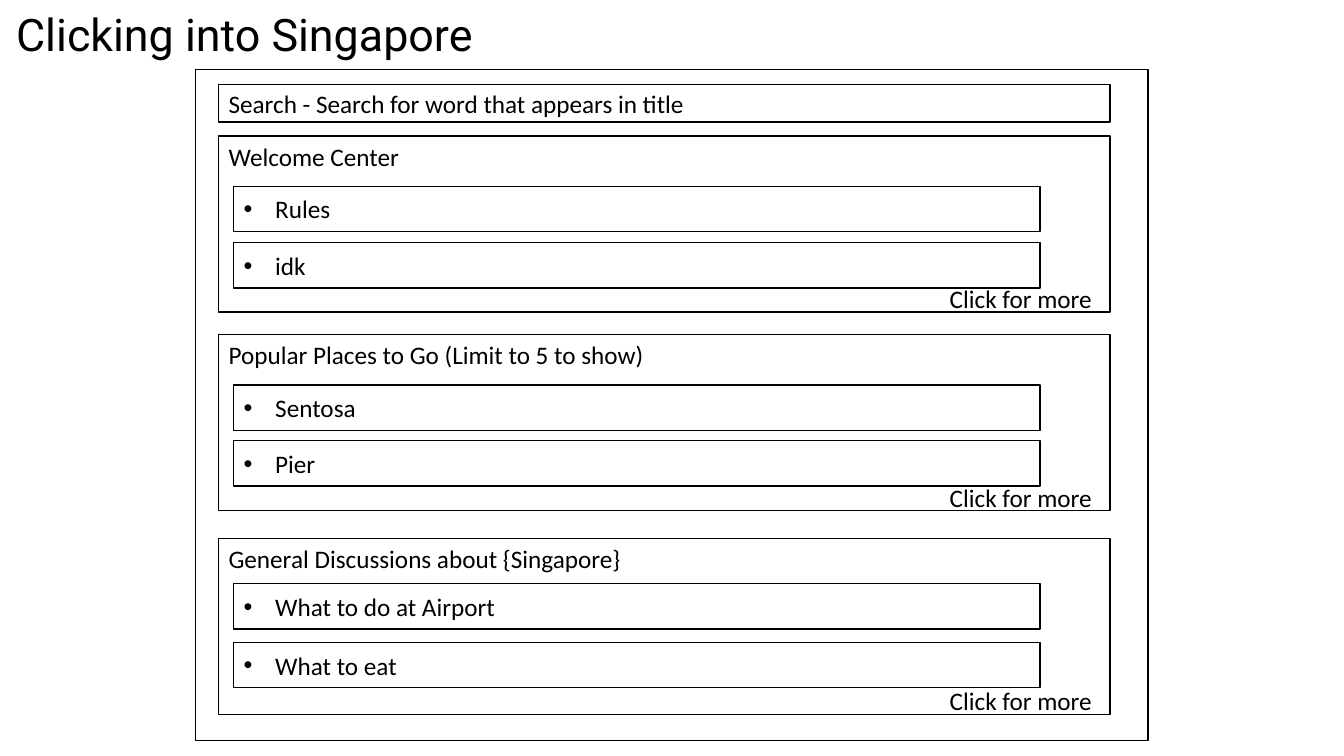
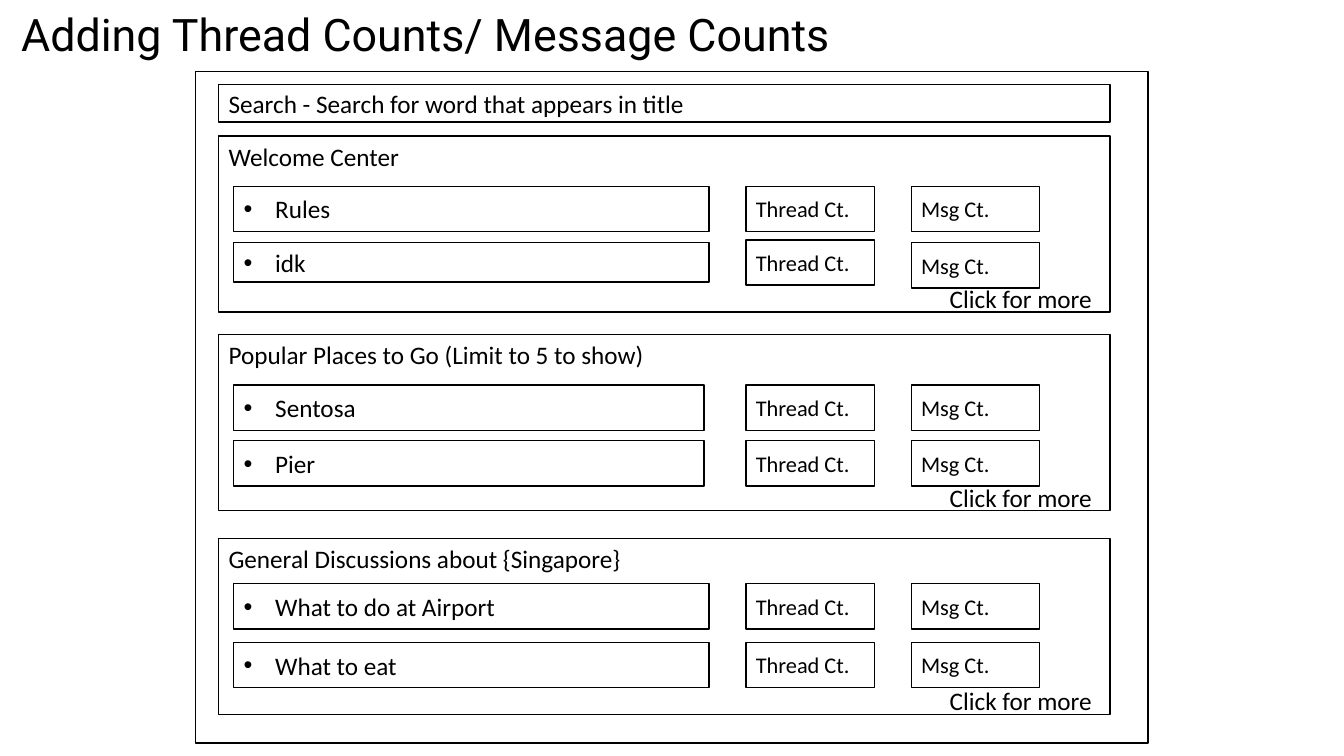
import pptx
import pptx.util
import pptx.dml.color
import pptx.enum.shapes
import pptx.enum.text
import pptx.oxml.ns
import lxml.etree

Pt = pptx.util.Pt
Anchor = pptx.enum.text.MSO_ANCHOR
Fit = pptx.enum.text.MSO_AUTO_SIZE
Align = pptx.enum.text.PP_ALIGN

# Shared look
THEME = {
    "ink": pptx.dml.color.RGBColor(0, 0, 0),
    "line": Pt(1),
    "indent": Pt(22.5),
    "title": {"name": "Roboto", "size": Pt(32), "bold": False},
    "body": {"name": "Calibri", "size": Pt(18)},
    "count": {"name": "Calibri", "size": Pt(16)},
}

# Shared grid, in points
LEFT, WIDE = 156.2, 636.7
PANEL_H = 125.8
ROW_X, ROW_W, ROW_H = 167, 575.8, 32.4
COUNTS = [("Thread Ct.", 532.8), ("Msg Ct.", 650.9)]
COUNT_W = 91.8

# Panel: heading, top, row tops
PANELS = [
    ("Welcome Center", 97.2, {"Rules": 133, "idk": 173.4}),
    ("Popular Places to Go (Limit to 5 to show)", 239,
     {"Sentosa": 275, "Pier": 314.7}),
    ("General Discussions about {Singapore}", 384.5,
     {"What to do at Airport": 416.9, "What to eat": 458.8}),
]

# Row widths and heights when counts stand beside the rows
SHORT_W = [339.6, 336, 339.6]
LOW_H = {"idk": 28}
COUNT_Y = {("idk", "Thread Ct."): 171.3}


def apply(item, style):
    for key, value in style.items():
        setattr(item, key, value)


def write(frame, text, font, para=None, **style):
    """Put one formatted paragraph into a text frame."""
    apply(frame, {"word_wrap": True, "auto_size": Fit.NONE, **style})
    line = frame.paragraphs[0]
    apply(line, {"alignment": Align.LEFT, **(para or {})})
    run = line.add_run()
    run.text = text
    apply(run.font, THEME[font])
    run.font.color.rgb = THEME["ink"]
    return line


def bullet(line):
    props = line._p.get_or_add_pPr()
    props.set("marL", str(THEME["indent"]))
    props.set("indent", str(-THEME["indent"]))
    for tag, key, value in (("a:buFont", "typeface", "Arial"),
                            ("a:buChar", "char", "•")):
        mark = lxml.etree.SubElement(props, pptx.oxml.ns.qn(tag))
        mark.set(key, value)


def box(slide, place, text="", font="body", anchor=Anchor.MIDDLE):
    """Draw an outlined box; return its paragraph if it has text."""
    shape = slide.shapes.add_shape(
        pptx.enum.shapes.MSO_SHAPE.RECTANGLE, *map(Pt, place))
    shape.shadow.inherit = False
    shape.fill.background()
    shape.line.color.rgb = THEME["ink"]
    shape.line.width = THEME["line"]
    if text:
        return write(shape.text_frame, text, font, vertical_anchor=anchor)


def title(slide, text, left, width):
    head = slide.shapes.title
    apply(head, {"left": Pt(left), "top": Pt(-7.9),
                 "width": Pt(width), "height": Pt(68.4)})
    write(head.text_frame, text, "title", {"line_spacing": 0.9},
          vertical_anchor=Anchor.MIDDLE)


def more(slide, top):
    note = slide.shapes.add_textbox(Pt(671.3), Pt(top), Pt(172), Pt(29))
    write(note.text_frame, "Click for more", "body",
          auto_size=Fit.SHAPE_TO_FIT_TEXT)


def row(slide, label, top, width, counts):
    height = LOW_H.get(label, ROW_H) if counts else ROW_H
    bullet(box(slide, (ROW_X, top, width, height), label))
    if counts:
        for name, left in COUNTS:
            y = COUNT_Y.get((label, name), top)
            box(slide, (left, y, COUNT_W, ROW_H), name, "count")


def page(deck, text, left, width, frame_y, counts):
    """Build one forum mock-up, with or without the count boxes."""
    slide = deck.slides.add_slide(deck.slide_layouts[5])
    title(slide, text, left, width)
    box(slide, (139.7, frame_y, 680.4, 479.5))
    box(slide, (LEFT, 60.5, WIDE, 26.6),
        "Search - Search for word that appears in title")
    for (name, top, rows), short in zip(PANELS, SHORT_W):
        box(slide, (LEFT, top, WIDE, PANEL_H), name, anchor=Anchor.TOP)
        for label, y in rows.items():
            row(slide, label, y, short if counts else ROW_W, counts)
        more(slide, top + 101.8)


def main():
    deck = pptx.Presentation()
    apply(deck, {"slide_width": Pt(960), "slide_height": Pt(540)})
    page(deck, "Clicking into Singapore", 4.3, 409.7, 49.5, False)
    page(deck, "Adding Thread Counts/ Message Counts", 7.9, 852.5, 51.3, True)
    deck.save("out.pptx")


if __name__ == "__main__":
    main()
